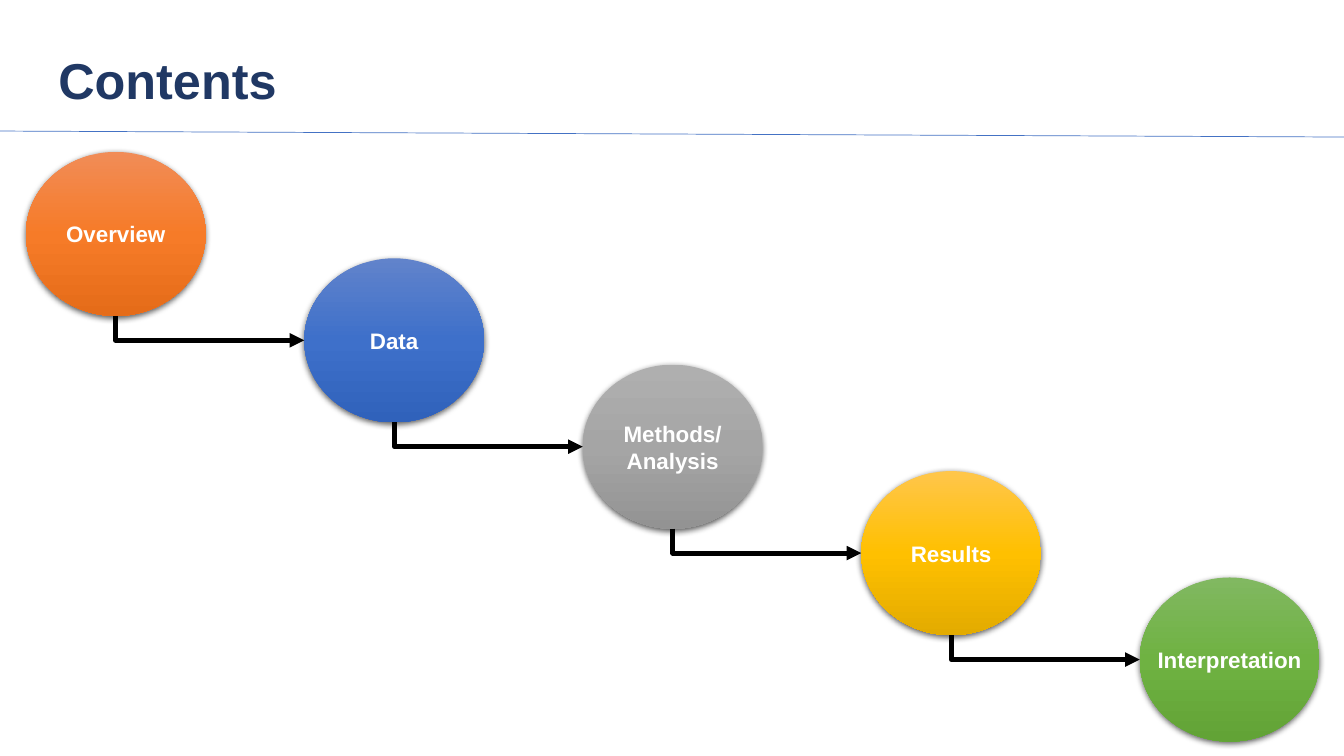
from copy import deepcopy

from lxml import etree
from pptx import Presentation
from pptx.dml.color import RGBColor
from pptx.enum.shapes import MSO_CONNECTOR, MSO_SHAPE
from pptx.enum.text import MSO_ANCHOR, PP_ALIGN
from pptx.oxml.ns import qn
from pptx.util import Pt

OVAL = MSO_SHAPE.OVAL
STRAIGHT, ELBOW = MSO_CONNECTOR.STRAIGHT, MSO_CONNECTOR.ELBOW
MIDDLE = MSO_ANCHOR.MIDDLE
LEFT, CENTER = PP_ALIGN.LEFT, PP_ALIGN.CENTER

COLORS = {
    "title": "203864",
    "rule": "4472C4",
    "label": "FFFFFF",
    "arrow": "000000",
    "shadow": "000000",
}
GRADIENTS = {
    "Overview": ("F18C57", "F67B28", "E56C19"),
    "Data": ("6183CB", "3E70CA", "3062BB"),
    "Methods/Analysis": ("AFAFAF", "A5A5A5", "939393"),
    "Results": ("FFC64B", "FFC000", "E3AB00"),
    "Interpretation": ("81B861", "6FB242", "62A336"),
}
WIDE_LABELS = {"Interpretation"}
TITLE_FONT = {"name": "Arial", "size": Pt(36), "bold": True}
LABEL_FONT = {"name": "Arial", "size": Pt(16), "bold": True}

FIRST_LEFT, FIRST_TOP = 18.5, 108.5
STEP_X, STEP_Y = 198.9, 76
CIRCLE_W, CIRCLE_H = 128.4, 117.2
WIDE_LABEL_W, WIDE_LABEL_H = 160, 26.6


def write(shape, text, font_format, color, align):
    frame = shape.text_frame
    frame.word_wrap = True
    frame.vertical_anchor = MIDDLE
    paragraph = frame.paragraphs[0]
    paragraph.alignment = align
    run = paragraph.add_run()
    run.text = text
    for attribute, value in font_format.items():
        setattr(run.font, attribute, value)
    run.font.color.rgb = RGBColor.from_string(COLORS[color])
    return paragraph


def add_label(slide, bounds, text, font_format, color, align):
    box = slide.shapes.add_textbox(*map(Pt, bounds))
    return write(box, text, font_format, color, align)


def add_shadow(shape):
    shape.shadow.inherit = False
    effects = shape.element.spPr.find(qn("a:effectLst"))
    shadow = etree.SubElement(
        effects, qn("a:outerShdw"), blurRad=str(Pt(4.5)), dist=str(Pt(1.5)),
        dir="5400000", algn="ctr", rotWithShape="0")
    color = etree.SubElement(shadow, qn("a:srgbClr"), val=COLORS["shadow"])
    etree.SubElement(color, qn("a:alpha"), val="63000")


def fill_gradient(shape, colors):
    shape.fill.gradient()
    shape.fill.gradient_angle = 270
    stop_list = shape.element.spPr.find(f".//{qn('a:gsLst')}")
    stop_list.append(deepcopy(stop_list[-1]))
    for index, (stop, color) in enumerate(zip(shape.fill.gradient_stops, colors)):
        stop.position = index / 2
        stop.color.rgb = RGBColor.from_string(color)


def add_circle(slide, left, top, text, colors):
    circle = slide.shapes.add_shape(
        OVAL, Pt(left), Pt(top), Pt(CIRCLE_W), Pt(CIRCLE_H))
    fill_gradient(circle, colors)
    circle.line.fill.background()
    add_shadow(circle)
    if text in WIDE_LABELS:
        bounds = (left + (CIRCLE_W - WIDE_LABEL_W) / 2,
                  top + (CIRCLE_H - WIDE_LABEL_H) / 2,
                  WIDE_LABEL_W, WIDE_LABEL_H)
        add_label(slide, bounds, text, LABEL_FONT, "label", CENTER)
    else:
        write(circle, text, LABEL_FONT, "label", CENTER)


def add_line(slide, kind, start, end, color, width):
    line = slide.shapes.add_connector(kind, *map(Pt, start + end))
    line.line.color.rgb = RGBColor.from_string(COLORS[color])
    line.line.width = Pt(width)
    etree.SubElement(line.element.spPr, qn("a:effectLst"))
    return line


def add_step_arrow(slide, start, end):
    arrow = add_line(slide, ELBOW, start, end, "arrow", 3.5)
    run, drop = end[0] - start[0], end[1] - start[1]
    arrow.left = Pt((start[0] + end[0] - drop) / 2)
    arrow.top = Pt((start[1] + end[1] - run) / 2)
    arrow.width, arrow.height = Pt(drop), Pt(run)
    properties = arrow.element.spPr
    properties.find(qn("a:prstGeom")).set("prst", "bentConnector2")
    transform = properties.find(qn("a:xfrm"))
    transform.set("rot", "16200000")
    transform.set("flipH", "1")
    outline = properties.find(qn("a:ln"))
    etree.SubElement(outline, qn("a:tailEnd"), type="triangle")


def main():
    presentation = Presentation()
    presentation.slide_width, presentation.slide_height = Pt(960), Pt(540)
    slide = presentation.slides.add_slide(presentation.slide_layouts[6])

    add_line(slide, STRAIGHT, (0, 93.6), (960, 97.9), "rule", 0.5)
    title = add_label(slide, (34.6, 23.8, 828, 71.3), "Contents",
                      TITLE_FONT, "title", LEFT)
    title.line_spacing = 0.9

    corners = [(FIRST_LEFT + STEP_X * step, FIRST_TOP + STEP_Y * step)
               for step in range(len(GRADIENTS))]
    for (left, top), (topic, colors) in zip(corners, GRADIENTS.items()):
        add_circle(slide, left, top, topic, colors)
    for (left, top), (next_left, next_top) in zip(corners, corners[1:]):
        add_step_arrow(slide, (left + CIRCLE_W / 2, top + CIRCLE_H),
                       (next_left, next_top + CIRCLE_H / 2))

    presentation.save("out.pptx")


if __name__ == "__main__":
    main()
